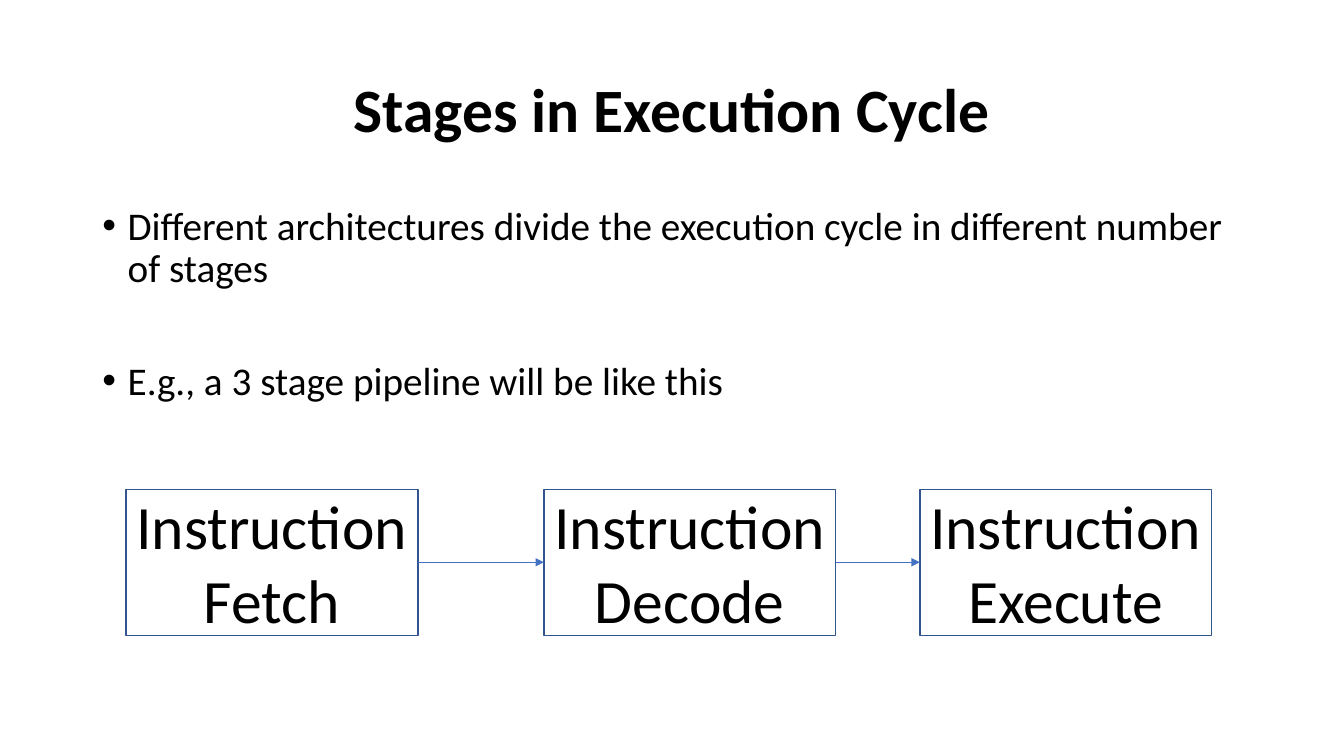
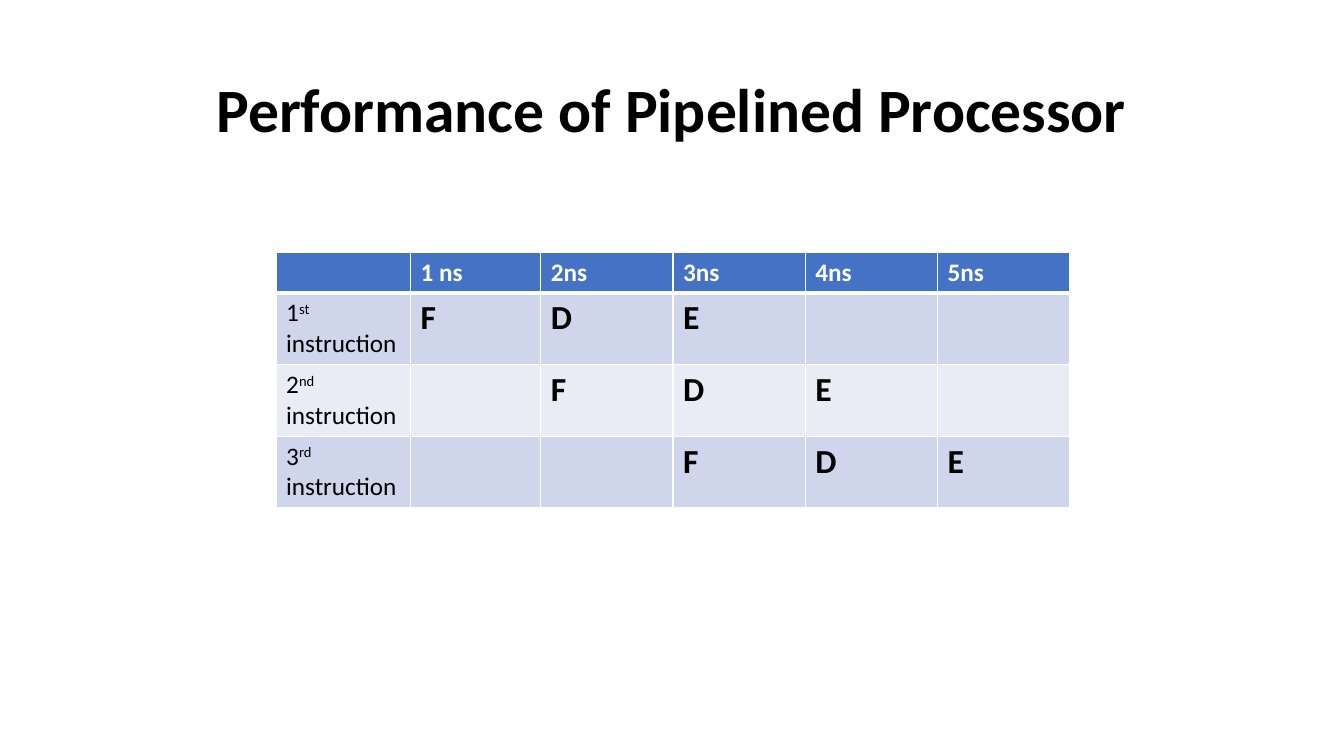
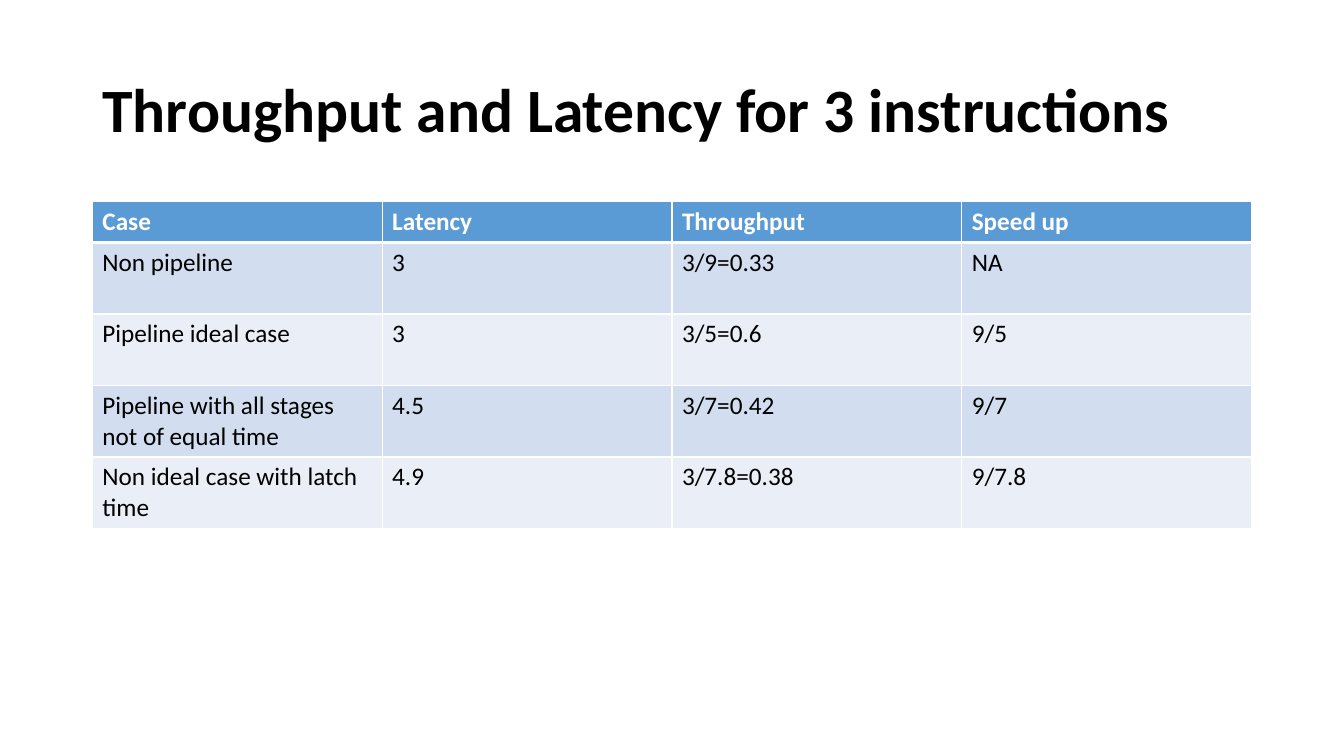
from dataclasses import dataclass
from itertools import pairwise
from typing import Any

from lxml.etree import SubElement
from pptx import Presentation
from pptx.dml.color import RGBColor
from pptx.enum.shapes import MSO_CONNECTOR, MSO_SHAPE
from pptx.enum.text import MSO_ANCHOR, MSO_AUTO_SIZE, PP_ALIGN
from pptx.oxml.ns import qn
from pptx.util import Emu, Pt

PX = 9525
FACE = "Calibri"
HUES = {
    "ink": "000000",
    "paper": "FFFFFF",
    "edge": "325491",
    "arrow": "4472C4",
}
LEFT, WIDE = 88, 1104


@dataclass(frozen=True)
class Run:
    text: str
    size: int = 18
    bold: bool = False
    hue: str = "ink"
    base: int = 0


@dataclass(frozen=True)
class Box:
    left: int
    lines: tuple[str, ...]


@dataclass(frozen=True)
class Grid:
    left: int
    top: int
    cols: tuple[int, ...]
    head: str
    bands: tuple[str, str]
    rows: list[list[list[Run]]]


STAGES = (
    Box(120, ("Instruction Fetch",)),
    Box(518, ("Instruction Decode",)),
    Box(876, ("Instruction", "Execute")),
)


def px(num: int) -> Emu:
    return Emu(num * PX)


def tint(code: str) -> RGBColor:
    return RGBColor.from_string(code)


def place(shape: Any, left: int, top: int, width: int, height: int) -> None:
    shape.left, shape.top = px(left), px(top)
    shape.width, shape.height = px(width), px(height)


def write(para: Any, runs: list[Run]) -> None:
    for part in runs:
        run = para.add_run()
        run.text = part.text
        font = run.font
        font.name, font.size, font.bold = FACE, Pt(part.size), part.bold
        font.color.rgb = tint(HUES[part.hue])
        if part.base:
            run._r.get_or_add_rPr().set("baseline", str(part.base * 1000))


def start(deck: Any, kind: int, text: str, align: PP_ALIGN = PP_ALIGN.CENTER) -> Any:
    slide = deck.slides.add_slide(deck.slide_layouts[kind])
    title = slide.shapes.title
    place(title, LEFT, 38, WIDE, 139)
    frame = title.text_frame
    frame.auto_size = MSO_AUTO_SIZE.NONE
    frame.vertical_anchor = MSO_ANCHOR.MIDDLE
    para = frame.paragraphs[0]
    para.alignment, para.line_spacing = align, 0.9
    write(para, [Run(text, 44, True)])
    return slide


def fill_list(body: Any, items: list[str], gap: int) -> None:
    place(body, LEFT, 192, WIDE, 457)
    frame = body.text_frame
    frame.auto_size = MSO_AUTO_SIZE.NONE
    for num, item in enumerate(items):
        para = frame.add_paragraph() if num else frame.paragraphs[0]
        props = para._p.get_or_add_pPr()
        props.set("marL", str(px(24)))
        props.set("indent", str(px(-24)))
        SubElement(props, qn("a:buChar"), char="•")
        para.line_spacing = 0.9
        para.space_before = Pt(gap if num else 0)
        write(para, [Run(item, 28)])


def draw_box(slide: Any, box: Box) -> Any:
    shape = slide.shapes.add_shape(
        MSO_SHAPE.RECTANGLE, px(box.left), px(466), px(278), px(139)
    )
    shape.shadow.inherit = False
    shape.fill.solid()
    shape.fill.fore_color.rgb = tint(HUES["paper"])
    shape.line.color.rgb = tint(HUES["edge"])
    shape.line.width = Pt(1)
    frame = shape.text_frame
    frame.word_wrap = True
    frame.vertical_anchor = MSO_ANCHOR.MIDDLE
    for num, line in enumerate(box.lines):
        para = frame.add_paragraph() if num else frame.paragraphs[0]
        para.alignment = PP_ALIGN.CENTER
        write(para, [Run(line, 44)])
    return shape


def join(slide: Any, tail: Any, tip: Any) -> None:
    link = slide.shapes.add_connector(MSO_CONNECTOR.STRAIGHT, 0, 0, 0, 0)
    link.begin_connect(tail, 3)
    link.end_connect(tip, 1)
    link.line.color.rgb = tint(HUES["arrow"])
    link.line.width = Pt(0.5)
    SubElement(link.line._get_or_add_ln(), qn("a:tailEnd"), type="triangle")
    SubElement(link._element.spPr, qn("a:effectLst"))


def edge(cell: Any, row: int) -> None:
    props = cell._tc.get_or_add_tcPr()
    sides = {"L": 1, "R": 1, "T": 3 if row == 1 else 1, "B": 1 if row else 3}
    for side, width in sides.items():
        line = SubElement(props, qn(f"a:ln{side}"), w=str(Pt(width)))
        paint = SubElement(line, qn("a:solidFill"))
        SubElement(paint, qn("a:srgbClr"), val=HUES["paper"])


def draw_grid(slide: Any, grid: Grid) -> None:
    highs = [39] + [68] * (len(grid.rows) - 1)
    table = slide.shapes.add_table(
        len(highs), len(grid.cols), px(grid.left), px(grid.top),
        px(sum(grid.cols)), px(sum(highs)),
    ).table
    for col, width in zip(table.columns, grid.cols):
        col.width = px(width)
    for num, (row, high) in enumerate(zip(grid.rows, highs)):
        table.rows[num].height = px(high)
        for spot, runs in enumerate(row):
            cell = table.cell(num, spot)
            edge(cell, num)
            cell.fill.solid()
            shade = grid.bands[(num - 1) % 2] if num else grid.head
            cell.fill.fore_color.rgb = tint(shade)
            write(cell.text_frame.paragraphs[0], runs)


def heads(names: list[str]) -> list[list[Run]]:
    return [[Run(name, bold=True, hue="paper")] if name else [] for name in names]


def steps(num: int, rank: str) -> list[list[Run]]:
    label = [Run(str(num)), Run(f"{rank} ", base=30), Run("instruction")]
    marks = [[Run(mark, 24, True)] for mark in "FDE"]
    return [label] + [[]] * (num - 1) + marks + [[]] * (3 - num)


def cycle(deck: Any) -> None:
    slide = start(deck, 1, "Stages in Execution Cycle")
    fill_list(slide.placeholders[1], [
        "Different architectures divide the execution cycle in different number of stages",
        "E.g., a 3 stage pipeline will be like this",
    ], 50)
    boxes = [draw_box(slide, box) for box in STAGES]
    for tail, tip in pairwise(boxes):
        join(slide, tail, tip)


def timing(deck: Any) -> None:
    slide = start(deck, 5, "Performance of Pipelined Processor")
    rows = [heads(["", "1 ns", "2ns", "3ns", "4ns", "5ns"])]
    rows += [steps(num, rank) for num, rank in enumerate(("st", "nd", "rd"), 1)]
    cols = (128, 124) + (126,) * 4
    draw_grid(slide, Grid(263, 240, cols, "4472C4", ("CFD5EA", "E9EBF5"), rows))


def cases(deck: Any) -> None:
    slide = start(deck, 5, "Throughput and Latency for 3 instructions", PP_ALIGN.LEFT)
    facts = [
        ("Non pipeline", "3", "3/9=0.33", "NA"),
        ("Pipeline ideal case", "3", "3/5=0.6", "9/5"),
        ("Pipeline with all stages not of equal time", "4.5", "3/7=0.42", "9/7"),
        ("Non ideal case with latch time", "4.9", "3/7.8=0.38", "9/7.8"),
    ]
    rows = [heads(["Case", "Latency", "Throughput", "Speed up"])]
    rows += [[[Run(text)] for text in fact] for fact in facts]
    cols = (WIDE // 4,) * 4
    draw_grid(slide, Grid(LEFT, 192, cols, "5B9BD5", ("D2DEEF", "EAEFF7"), rows))


def main() -> None:
    deck = Presentation()
    deck.slide_width, deck.slide_height = px(1280), px(720)
    cycle(deck)
    timing(deck)
    cases(deck)
    deck.save("out.pptx")


if __name__ == "__main__":
    main()
